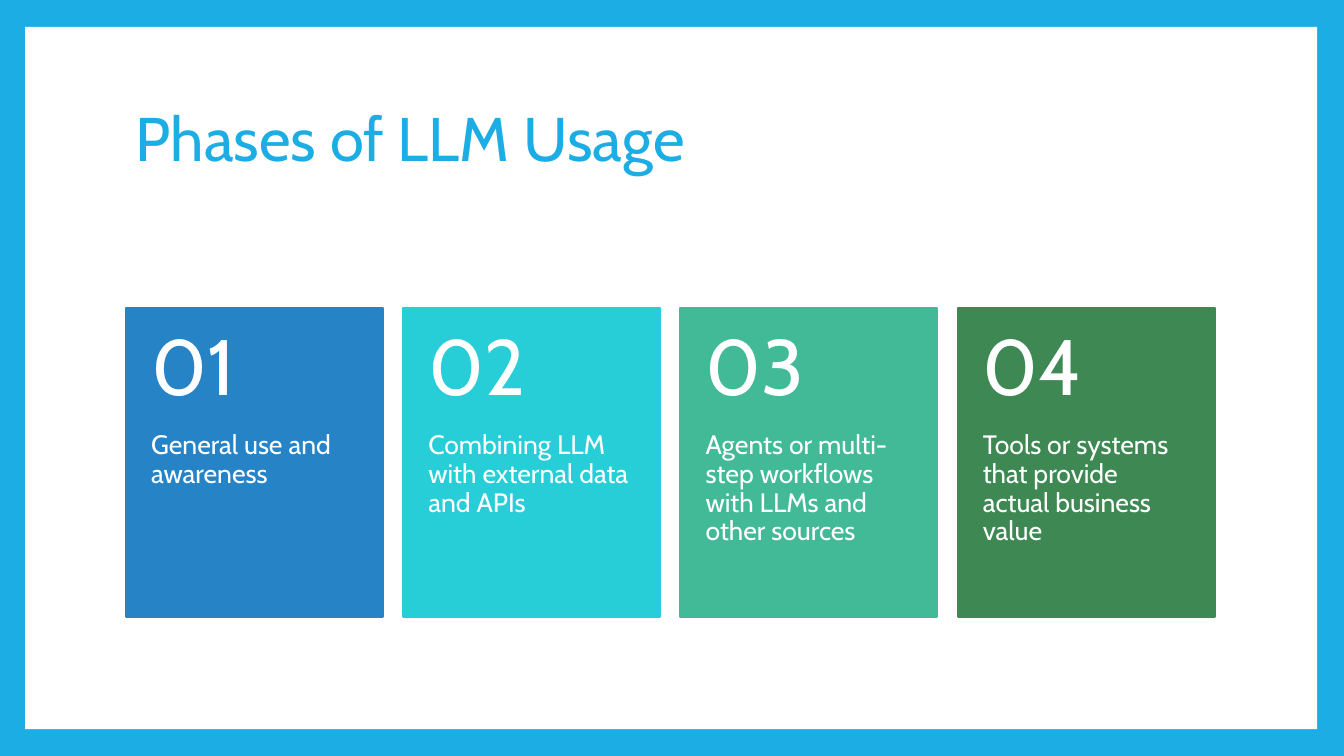
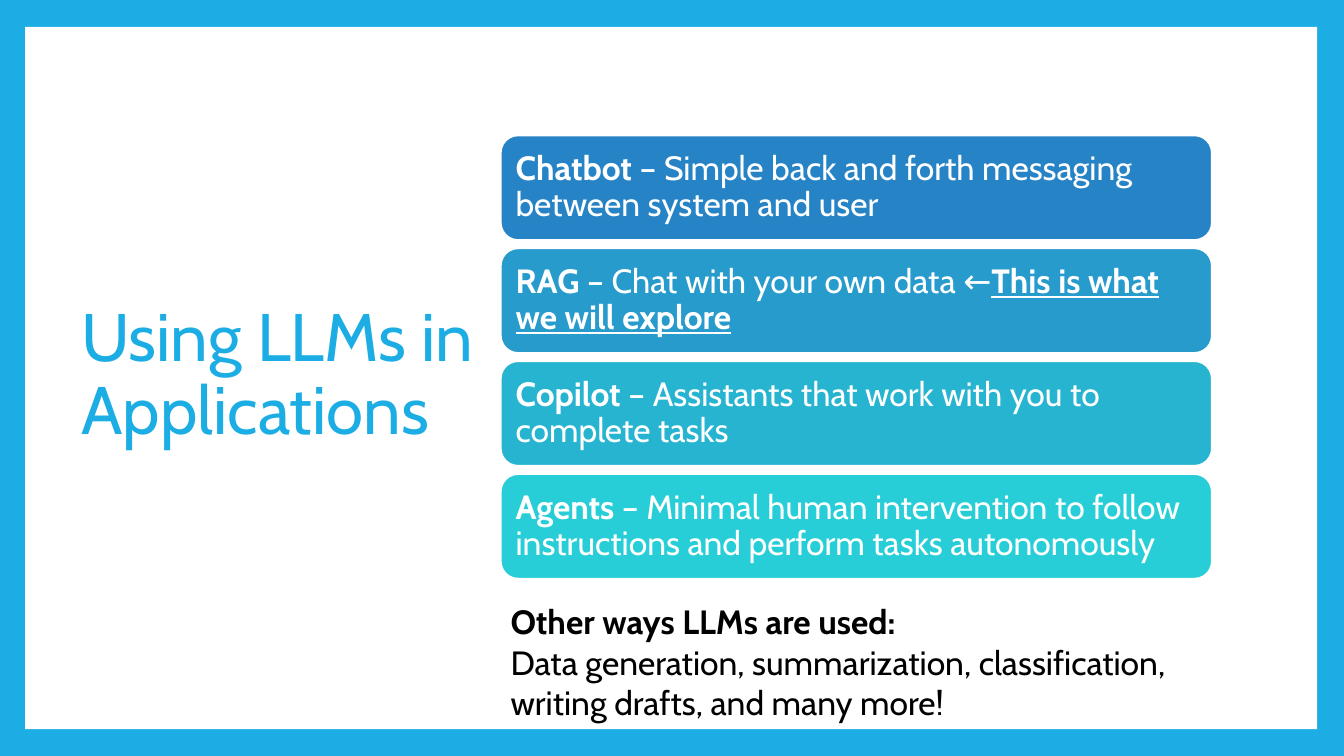
from pptx import Presentation
from pptx.dml.color import RGBColor
from pptx.enum.shapes import MSO_SHAPE
from pptx.enum.text import MSO_ANCHOR, PP_ALIGN
from pptx.util import Pt

RECTANGLE = MSO_SHAPE.RECTANGLE
ROUNDED = MSO_SHAPE.ROUNDED_RECTANGLE
TOP, MIDDLE = MSO_ANCHOR.TOP, MSO_ANCHOR.MIDDLE
LEFT = PP_ALIGN.LEFT

CELL = Pt(6)
COLUMNS, ROWS = 160, 90
FONT = "Cabin"
COLORS = {
    "sky": "1CADE4",
    "white": "FFFFFF",
    "black": "000000",
    "blue": "2683C6",
    "ocean": "269BCC",
    "lagoon": "27B4D1",
    "cyan": "27CED7",
    "mint": "42BA97",
    "green": "3E8853",
}
PLAIN, BOLD, UNDERLINED = "plain", "bold", "underlined"

PHASES = [
    ("blue", "General use and awareness"),
    ("cyan", "Combining LLM with external data and APIs"),
    ("mint", "Agents or multi-step workflows with LLMs and other sources"),
    ("green", "Tools or systems that provide actual business value"),
]
APPLICATIONS = [
    ("blue", [("Chatbot", BOLD),
              (" – Simple back and forth messaging between system and user", PLAIN)]),
    ("ocean", [("RAG", BOLD),
               (" – Chat with your own data ←", PLAIN),
               ("This is what we will explore", UNDERLINED)]),
    ("lagoon", [("Copilot", BOLD),
                (" – Assistants that work with you to complete tasks", PLAIN)]),
    ("cyan", [("Agents", BOLD),
              (" – Minimal human intervention to follow instructions"
               " and perform tasks autonomously", PLAIN)]),
]
OTHER_WAYS = [
    [("Other ways LLMs are used:", BOLD)],
    [("Data generation, summarization, classification, writing drafts,"
      " and many more!", PLAIN)],
]


def color(name):
    """Return the named palette color."""
    return RGBColor.from_string(COLORS[name])


class Deck:
    """Holds the shared style and the slide being built, measured in grid cells."""

    def __init__(self):
        """Start a presentation with the shared background."""
        self.presentation = Presentation()
        self.presentation.slide_width = CELL * COLUMNS
        self.presentation.slide_height = CELL * ROWS
        background = self.presentation.slide_master.background.fill
        background.solid()
        background.fore_color.rgb = color("sky")
        self.slide = None

    def place(self, *cells):
        """Turn grid cells into slide lengths."""
        return [round(CELL * cell) for cell in cells]

    def new_slide(self, title, box, size):
        """Add a slide with the white panel and its title."""
        layout = self.presentation.slide_layouts[6]
        self.slide = self.presentation.slides.add_slide(layout)
        self.block((3, 3.2, 153.8, 83.6), "white")
        self.text(box, [[(title, PLAIN)]], size, "sky", MIDDLE)

    def block(self, box, fill, line=None, kind=RECTANGLE):
        """Add a filled shape, outlined when a line color is given."""
        shape = self.slide.shapes.add_shape(kind, *self.place(*box))
        shape.shadow.inherit = False
        shape.fill.solid()
        shape.fill.fore_color.rgb = color(fill)
        if line:
            shape.line.color.rgb = color(line)
            shape.line.width = Pt(1.5)
        else:
            shape.line.fill.background()
        return shape

    def text(self, box, paragraphs, size, ink, anchor=TOP,
             insets=(1.2, 0.6, 1.2, 0.6), spacing=0.9):
        """Add a text box."""
        shape = self.slide.shapes.add_textbox(*self.place(*box))
        self.fill_text(shape, paragraphs, size, ink, anchor, insets, spacing)

    def fill_text(self, shape, paragraphs, size, ink, anchor, insets, spacing=0.9):
        """Fill a shape with paragraphs made of (text, style) pieces."""
        frame = shape.text_frame
        frame.word_wrap = True
        frame.vertical_anchor = anchor
        (frame.margin_left, frame.margin_top,
         frame.margin_right, frame.margin_bottom) = self.place(*insets)
        for index, pieces in enumerate(paragraphs):
            paragraph = frame.add_paragraph() if index else frame.paragraphs[0]
            paragraph.alignment = LEFT
            paragraph.line_spacing = spacing
            for words, style in pieces:
                run = paragraph.add_run()
                run.text = words
                run.font.name = FONT
                run.font.size = Pt(size)
                run.font.color.rgb = color(ink)
                run.font.bold = style != PLAIN
                run.font.underline = style == UNDERLINED

    def card(self, left, number, fill, words):
        """Add a numbered phase card."""
        top, width, head, body = 36.7, 30.6, 14.7, 22
        self.block((left, top, width, head + body), fill, fill)
        self.text((left, top + head, width, body), [[(words, PLAIN)]],
                  19, "white", TOP, (3, 0, 3, 4.3))
        self.text((left, top, width, head), [[(f"{number:02}", PLAIN)]],
                  56, "white", MIDDLE, (3, 2.2, 3, 2.2))

    def banner(self, top, fill, pieces):
        """Add a rounded banner with one paragraph."""
        shape = self.block((59.6, top, 84.7, 12.5), fill, "white", ROUNDED)
        self.fill_text(shape, [pieces], 24, "white", MIDDLE, (1.2, 1.2, 1.2, 1.2))


def main():
    """Build and save both slides."""
    deck = Deck()
    deck.new_slide("Phases of LLM Usage", (15, 8, 129.6, 17.8), 44)
    for index, (fill, words) in enumerate(PHASES):
        deck.card(15 + 33 * index, index + 1, fill, words)

    deck.new_slide("Using LLMs in Applications", (8.5, 8, 51.1, 73.6), 48)
    for index, (fill, pieces) in enumerate(APPLICATIONS):
        deck.banner(16.1 + 13.44 * index, fill, pieces)
    deck.text((59.6, 71, 82.2, 16), OTHER_WAYS, 24, "black", spacing=1.0)
    deck.presentation.save("out.pptx")


if __name__ == "__main__":
    main()
